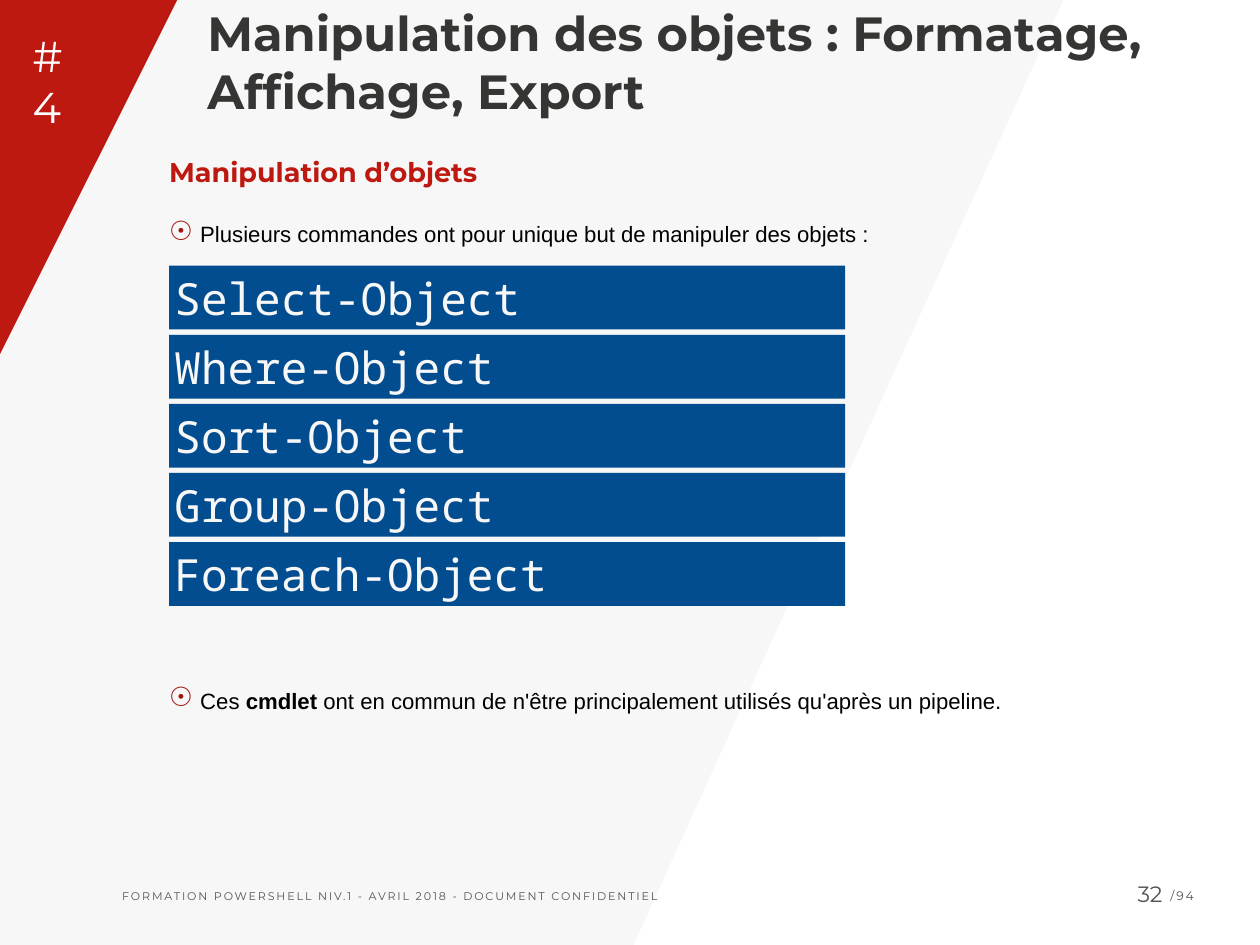
from lxml import etree
from pptx import Presentation
from pptx.dml.color import RGBColor
from pptx.enum.shapes import MSO_SHAPE
from pptx.enum.text import MSO_ANCHOR, MSO_AUTO_SIZE, PP_ALIGN
from pptx.oxml.ns import qn
from pptx.util import Inches, Pt

RECTANGLE = MSO_SHAPE.RECTANGLE
TOP, MIDDLE, BOTTOM = MSO_ANCHOR.TOP, MSO_ANCHOR.MIDDLE, MSO_ANCHOR.BOTTOM
LEFT, RIGHT = PP_ALIGN.LEFT, PP_ALIGN.RIGHT
NO_AUTOFIT = MSO_AUTO_SIZE.NONE

BLACK = RGBColor(0x00, 0x00, 0x00)
WHITE = RGBColor(0xFF, 0xFF, 0xFF)
PALE = RGBColor(0xF7, 0xF7, 0xF7)
GREY = RGBColor(0x53, 0x53, 0x53)
CHARCOAL = RGBColor(0x35, 0x35, 0x33)
RED = RGBColor(0xBE, 0x19, 0x11)
DARK_RED = RGBColor(0xA4, 0x14, 0x0E)
BLUE = RGBColor(0x02, 0x4C, 0x90)

TITLE = {"name": "Montserrat", "size": Pt(39), "bold": True, "color": CHARCOAL}
CHAPTER = {"name": "Montserrat", "size": Pt(35), "color": WHITE}
HEADING = {"name": "Montserrat", "size": Pt(22), "bold": True, "color": RED}
BODY = {"name": "Arial", "size": Pt(18), "color": BLACK}
CODE = {"name": "Noto Sans Mono", "size": Pt(36), "color": PALE}
FOOTER = {"name": "Montserrat", "size": Pt(9), "color": GREY}
TOTAL = {**FOOTER, "size": Pt(10)}
PAGE = {**FOOTER, "size": Pt(18)}

CMDLETS = ["Select-Object", "Where-Object", "Sort-Object", "Group-Object", "Foreach-Object"]


def add_run(p, text, style, spacing=None):
    r = p.add_run()
    r.text = text
    for key, value in style.items():
        if key == "color":
            r.font.color.rgb = value
        else:
            setattr(r.font, key, value)
    if spacing:
        r.font._element.set("spc", str(spacing))


def set_frame(sp, margin=0.06, anchor=TOP, align=LEFT):
    tf = sp.text_frame
    inset = Inches(margin)
    frame = {"word_wrap": True, "auto_size": NO_AUTOFIT, "vertical_anchor": anchor,
             "margin_left": inset, "margin_right": inset,
             "margin_top": inset, "margin_bottom": inset}
    for key, value in frame.items():
        setattr(tf, key, value)
    p = tf.paragraphs[0]
    p.alignment = align
    return p


def add_label(s, box, text, style, margin=0.06, align=LEFT, spacing=None):
    sp = s.shapes.add_textbox(*map(Inches, box))
    add_run(set_frame(sp, margin, align=align), text, style, spacing)


def add_panel(s, points, color):
    builder = s.shapes.build_freeform(*points[0], scale=Inches(1))
    builder.add_line_segments(points[1:], close=True)
    sp = builder.convert_to_shape()
    sp.shadow.inherit = False
    sp.fill.solid()
    sp.fill.fore_color.rgb = color
    sp.line.fill.background()
    s.shapes.title._element.addprevious(sp._element)


def add_backdrop(s, width, height):
    add_panel(s, [(0, 0), (12.32, 0), (7.36, height), (0, height - 0.03)], PALE)
    add_panel(s, [(0, 0), (0.73, 0), (1.51, 0.37), (0, 3.61)], RED)


def add_title(s, box, text):
    title = s.shapes.title
    title.left, title.top, title.width, title.height = map(Inches, box)
    add_run(set_frame(title, anchor=BOTTOM), text, TITLE)


def add_bullet(s, box, parts):
    sp = s.shapes.add_textbox(*map(Inches, box))
    p = set_frame(sp, margin=0)
    pPr = p._p.get_or_add_pPr()
    pPr.set("marL", str(Inches(0.35)))
    pPr.set("indent", str(-Inches(0.35)))
    color = etree.SubElement(pPr, qn("a:buClr"))
    etree.SubElement(color, qn("a:srgbClr")).set("val", str(DARK_RED))
    etree.SubElement(pPr, qn("a:buSzPct")).set("val", "120000")
    etree.SubElement(pPr, qn("a:buChar")).set("char", "☉")
    for text, bold in parts:
        add_run(p, text, {**BODY, "bold": bold})


def add_cmdlets(s, left, top, width, height, pitch):
    for i, name in enumerate(CMDLETS):
        box = (left, top + i * pitch, width, height)
        sp = s.shapes.add_shape(RECTANGLE, *map(Inches, box))
        sp.shadow.inherit = False
        sp.fill.solid()
        sp.fill.fore_color.rgb = BLUE
        sp.line.fill.background()
        add_run(set_frame(sp, anchor=MIDDLE), name, CODE)


def add_content(s, left, top, width):
    add_label(s, (left, top, width, 0.4), "Manipulation d’objets", HEADING, margin=0)
    add_bullet(s, (left, top + 0.73, width, 0.35),
               [("Plusieurs commandes ont pour unique but de manipuler des objets :", False)])
    add_cmdlets(s, left, top + 1.24, 7.63, 0.72, 0.78)
    add_bullet(s, (left, top + 6, width, 0.35),
               [("Ces ", False), ("cmdlet", True),
                (" ont en commun de n'être principalement utilisés qu'après un pipeline.", False)])


def add_footer(s, left, top):
    add_label(s, (left, top + 0.1, 10.44, 0.26),
              "FORMATION POWERSHELL NIV.1 - AVRIL 2018 - DOCUMENT CONFIDENTIEL",
              FOOTER, spacing=150)
    add_label(s, (left + 11.26, top, 0.6, 0.37), "32", PAGE, align=RIGHT)
    add_label(s, (left + 11.83, top + 0.09, 0.79, 0.28), "/94", TOTAL, spacing=150)


def main():
    width, height = 14.22, 10.67
    prs = Presentation()
    prs.slide_width, prs.slide_height = Inches(width), Inches(height)
    s = prs.slides.add_slide(prs.slide_layouts[5])
    add_backdrop(s, width, height)
    add_title(s, (2.28, -0.23, 11.94, 1.63),
              "Manipulation des objets : Formatage, Affichage, Export")
    add_label(s, (0.31, 0.27, 0.6, 1.3), "#4", CHAPTER)
    add_content(s, 1.91, 1.76, 11.39)
    add_footer(s, 1.32, 9.88)
    prs.save("out.pptx")


if __name__ == "__main__":
    main()
